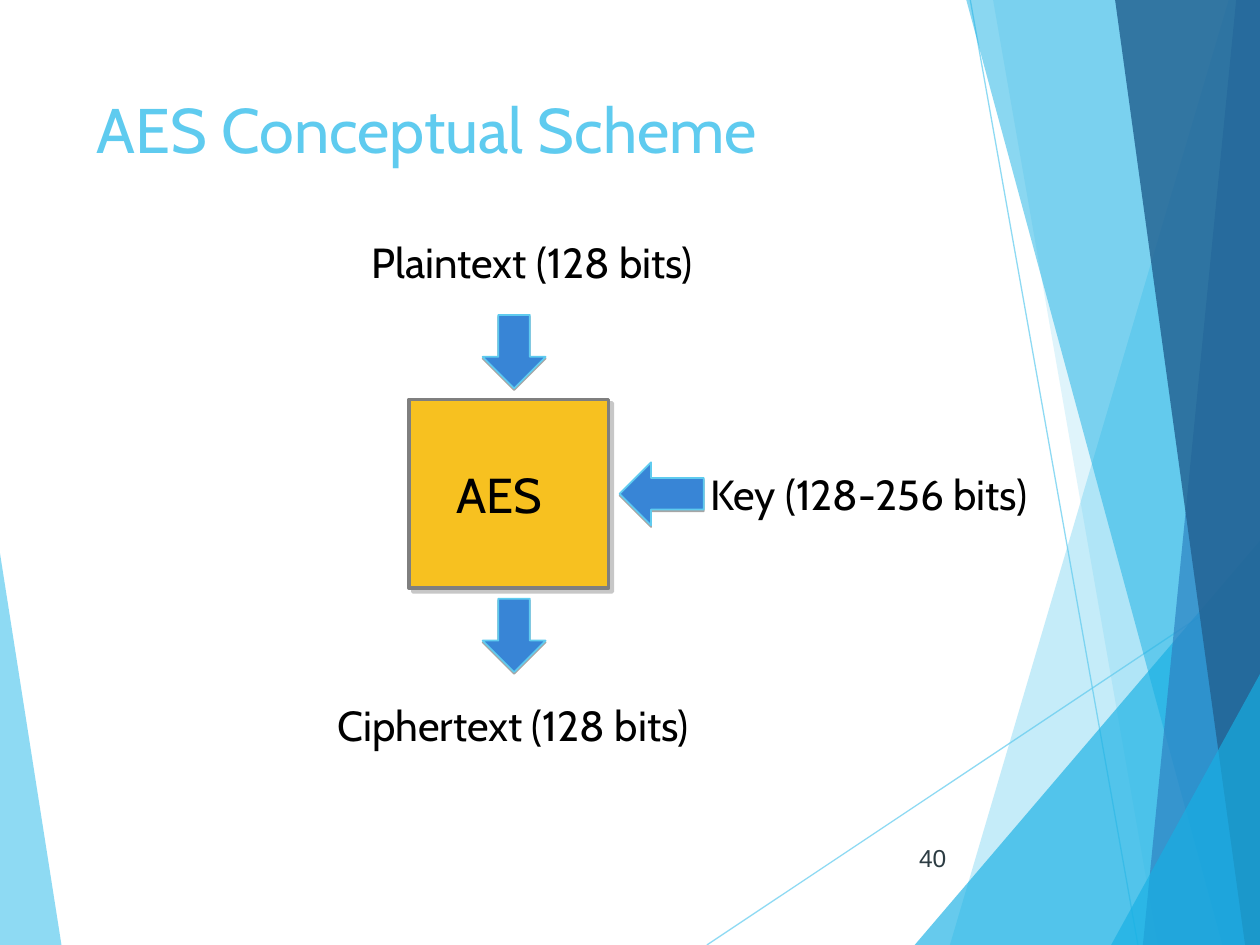
from collections import namedtuple
from dataclasses import dataclass

from lxml import etree
from pptx import Presentation
from pptx import util as u
from pptx.dml.color import RGBColor
from pptx.enum import shapes, text
from pptx.oxml import ns

Box = namedtuple("Box", "x y w h")  # lengths in cm


@dataclass(frozen=True)
class Theme:
    sky: str = "5FCBEF"
    cyan: str = "17B0E4"
    blue: str = "2E83C3"
    navy: str = "236292"
    arrow: str = "3885D6"
    gold: str = "F7C120"
    frame: str = "7F7F7F"
    shade: str = "808080"
    ink: str = "000000"
    slate: str = "2C3C43"
    face: str = "Cabin"
    plain: str = "Arial"
    title: int = 36
    block: int = 28
    label: int = 24
    number: int = 14


T = Theme()
SLIDE = Box(0, 0, 25.4, 19.05)


def rgb(code):
    return RGBColor.from_string(code)


def place(box):
    return [u.Cm(v) for v in box]


def inside(box, x, y, w, h):
    return Box(box.x + x, box.y + y, w, h)


def sub(parent, tag, **attrs):
    node = etree.SubElement(parent, ns.qn(tag))
    for key, value in attrs.items():
        node.set(key, str(value))
    return node


def fade(shape, share):
    """Set the opacity, in percent, of the shape's first colour."""
    color = next(shape._element.spPr.iter(ns.qn("a:srgbClr")))
    sub(color, "a:alpha", val=share * 1000)


def paint(shape, fill, line=None, width=1):
    shape.shadow.inherit = False
    shape.fill.solid()
    shape.fill.fore_color.rgb = rgb(fill)
    if line:
        shape.line.color.rgb = rgb(line)
        shape.line.width = u.Pt(width)
    else:
        shape.line.fill.background()


def shadow(shape, color, share, reach, angle):
    effects = shape._element.spPr.find(ns.qn("a:effectLst"))
    outer = sub(effects, "a:outerShdw", blurRad=0, dist=u.Pt(reach),
                dir=angle * 60000, algn="ctr", rotWithShape=0)
    tint = sub(outer, "a:srgbClr", val=color)
    sub(tint, "a:alpha", val=share * 1000)


def write(frame, words, size, color, face=T.face,
          align=text.PP_ALIGN.LEFT, anchor=text.MSO_ANCHOR.TOP, wrap=False):
    frame.text = words
    frame.word_wrap = wrap
    frame.auto_size = text.MSO_AUTO_SIZE.NONE
    frame.vertical_anchor = anchor
    para = frame.paragraphs[0]
    para.alignment = align
    font = para.runs[0].font
    font.name, font.size = face, u.Pt(size)
    font.color.rgb = rgb(color)


def pane(slide, box, x, y, foot, edge, color, share):
    """Fill from the slanted side (x, y)-(foot, bottom) to a vertical edge."""
    points = [(x, y), (foot, box.h), (edge, box.h), (edge, y)]
    points = [(u.Cm(box.x + a), u.Cm(box.y + b)) for a, b in points]
    build = slide.shapes.build_freeform(*points[0])
    build.add_line_segments(points[1:], close=True)
    shape = build.convert_to_shape()
    paint(shape, color)
    fade(shape, share)


def ray(slide, box, x, y, foot):
    line = slide.shapes.add_connector(
        shapes.MSO_CONNECTOR.STRAIGHT, u.Cm(box.x + foot),
        u.Cm(box.y + box.h), u.Cm(box.x + x), u.Cm(box.y + y))
    line.line.color.rgb = rgb(T.sky)
    line.line.width = u.Pt(0.75)
    fade(line, 70)
    sub(line._element.spPr, "a:effectLst")


def facets(slide, box):
    pane(slide, box, 0, 11.15, 1.24, 0, T.sky, 70)
    ray(slide, box, box.w, 11.62, 14.25)
    ray(slide, box, 19.56, 0, 22.94)
    panes = [
        (24.77, 0, 19.15, T.sky, 36),
        (20.02, 0, 23.34, T.sky, 20),
        (box.w, 10.9, 18.44, T.cyan, 66),
        (19.48, 0, 24.64, T.cyan, 50),
        (24.92, 0, 23.04, T.blue, 70),
        (22.48, 0, 25.1, T.navy, 82),
        (box.w, 13.59, 22.4, T.cyan, 66),
    ]
    for x, y, foot, color, share in panes:
        pane(slide, box, x, y, foot, box.w, color, share)


def heading(slide, box):
    title = slide.shapes.title
    title.left, title.top, title.width, title.height = place(box)
    write(title.text_frame, "AES Conceptual Scheme", T.title, T.sky, wrap=True)


def number(slide, box):
    note = slide.shapes.add_textbox(*place(box))
    write(note.text_frame, "40", T.number, T.slate, T.plain,
          text.PP_ALIGN.RIGHT, text.MSO_ANCHOR.MIDDLE, True)


def scheme(slide, box):
    """Draw the cipher block with its inputs and output."""
    kinds = shapes.MSO_SHAPE
    block = slide.shapes.add_shape(
        kinds.RECTANGLE, *place(inside(box, 1.7, 3.4, 4.02, 3.81)))
    paint(block, T.gold, T.frame, 2)
    shadow(block, T.shade, 43, 3, 45)
    write(block.text_frame, "AES", T.block, T.ink,
          anchor=text.MSO_ANCHOR.MIDDLE)
    block.text_frame.margin_left = u.Cm(0.95)

    labels = [
        ("Plaintext (128 bits)", 0.69, 0, 7.85),
        ("Ciphertext (128 bits)", 0, 9.32, 8.74),
        ("Key (128-256 bits)", 7.52, 4.67, 7.52),
    ]
    for words, x, y, width in labels:
        label = slide.shapes.add_textbox(
            *place(inside(box, x, y, width, 1.27)))
        write(label.text_frame, words, T.label, T.ink)

    arrows = [
        (kinds.DOWN_ARROW, 3.18, 1.7, 1.27, 1.48),
        (kinds.DOWN_ARROW, 3.18, 7.42, 1.27, 1.48),
        (kinds.LEFT_ARROW, 5.94, 4.67, 1.7, 1.27),
    ]
    for kind, *spot in arrows:
        arrow = slide.shapes.add_shape(kind, *place(inside(box, *spot)))
        paint(arrow, T.arrow, T.sky)
        shadow(arrow, T.ink, 35, 1, 90)


def main():
    deck = Presentation()
    deck.slide_width, deck.slide_height = u.Cm(SLIDE.w), u.Cm(SLIDE.h)
    slide = deck.slides.add_slide(deck.slide_layouts[5])
    facets(slide, SLIDE)
    heading(slide, Box(1.7, 1.7, 17.63, 3.66))
    number(slide, Box(17.91, 16.79, 1.42, 1.02))
    scheme(slide, Box(6.55, 4.65, 15.04, 10.59))
    deck.save("out.pptx")


if __name__ == "__main__":
    main()
